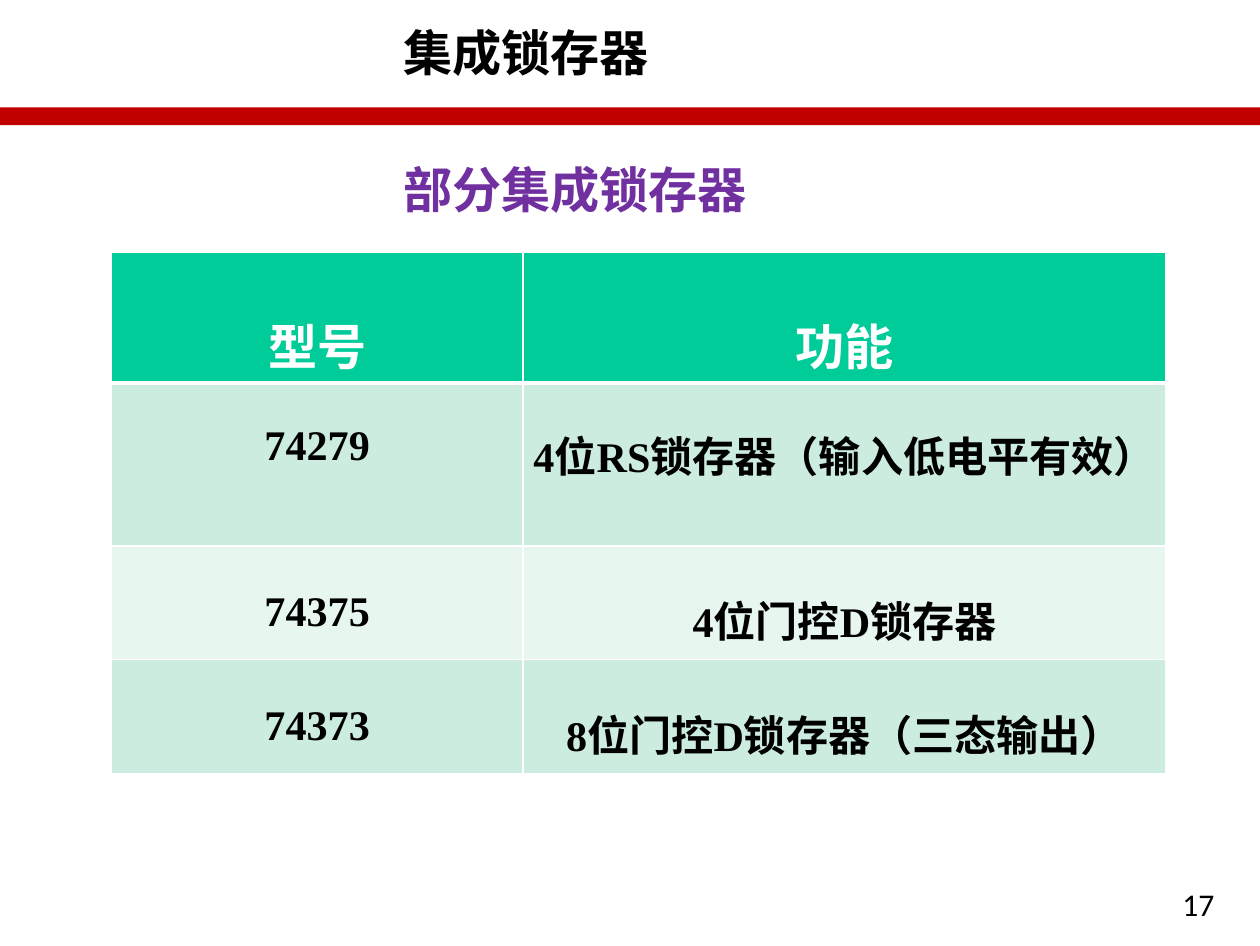
from lxml.etree import SubElement as Sub
from pptx import Presentation
from pptx.dml.color import RGBColor as Rgb
from pptx.enum.shapes import MSO_SHAPE as Shape
from pptx.enum.text import PP_ALIGN as Align
from pptx.oxml.ns import qn
from pptx.util import Inches as In, Pt

WIDE, HIGH = Pt(718), Pt(539)
HAN, ROMAN, SANS = "Noto Sans CJK SC", "Times New Roman", "Calibri"
HUES = {
    "red": "C00000", "violet": "7030A0", "black": "000000", "white": "FFFFFF",
    "green": "00CC99", "mint": "CBECDE", "pale": "E7F6EF",
}
ROWS = [
    ("型号", "功能"),
    ("74279", "4位RS锁存器（输入低电平有效）"),
    ("74375", "4位门控D锁存器"),
    ("74373", "8位门控D锁存器（三态输出）"),
]
COLS = [3.26, 5.09]
TALL = [1.03, 1.29, 0.9, 0.9]
PADS = [0.44, 0.32, 0.34, 0.34]


def hue(name):
    return Rgb.from_string(HUES[name])


def write(frame, text, size=24, font=HAN, color="black", bold=True, align=Align.LEFT):
    frame.word_wrap = True
    para = frame.paragraphs[0]
    para.alignment = align
    run = para.add_run()
    run.text = text
    run.font.size = Pt(size)
    run.font.bold = bold
    run.font.color.rgb = hue(color)
    run.font.name = font
    Sub(run.font._element, qn("a:ea"), typeface=HAN)


def label(slide, box, text, pad=0, **style):
    frame = slide.shapes.add_textbox(*map(In, box)).text_frame
    frame.margin_left = frame.margin_right = In(pad)
    frame.margin_top = frame.margin_bottom = In(pad / 2)
    write(frame, text, **style)


def edge(cell, side, width):
    line = Sub(cell._tc.get_or_add_tcPr(), qn("a:ln" + side), w=str(Pt(width)))
    Sub(Sub(line, qn("a:solidFill")), qn("a:srgbClr"), val=HUES["white"])


def head(slide, left, top, width):
    bar = slide.shapes.add_shape(
        Shape.RECTANGLE, In(left), In(top + 0.85), In(width), In(0.14))
    bar.shadow.inherit = False
    bar.fill.solid()
    bar.fill.fore_color.rgb = hue("red")
    bar.line.fill.background()
    start = left + width * 0.32
    label(slide, (start, top + 0.18, 2.75, 0.56), "集成锁存器", size=28)
    label(slide, (start, top + 1.26, 2.75, 0.56), "部分集成锁存器", size=28, color="violet")


def chips(slide, left, top):
    table = slide.shapes.add_table(
        len(ROWS), len(COLS), In(left), In(top), In(sum(COLS)), In(sum(TALL))).table
    table.first_row = table.horz_banding = False
    for col, width in zip(table.columns, COLS):
        col.width = In(width)
    for i, words in enumerate(ROWS):
        table.rows[i].height = In(TALL[i])
        for j, text in enumerate(words):
            cell = table.cell(i, j)
            cell.margin_left = cell.margin_right = cell.margin_bottom = 0
            cell.margin_top = In(PADS[i])
            for side in "LRTB":
                thick = (i, side) in ((0, "B"), (1, "T"))
                edge(cell, side, 3 if thick else 1)
            cell.fill.solid()
            cell.fill.fore_color.rgb = hue("green" if i == 0 else "mint" if i % 2 else "pale")
            if i == 0:
                write(cell.text_frame, text, size=28, color="white", align=Align.CENTER)
            else:
                write(cell.text_frame, text, font=ROMAN, align=Align.CENTER)


def main():
    deck = Presentation()
    deck.slide_width, deck.slide_height = WIDE, HIGH
    slide = deck.slides.add_slide(deck.slide_layouts[6])
    head(slide, 0, 0, WIDE.inches)
    chips(slide, 0.88, 2)
    label(slide, (9.26, 6.95, 0.52, 0.4), "17", pad=0.1, size=18, font=SANS, bold=False)
    deck.save("out.pptx")


if __name__ == "__main__":
    main()
